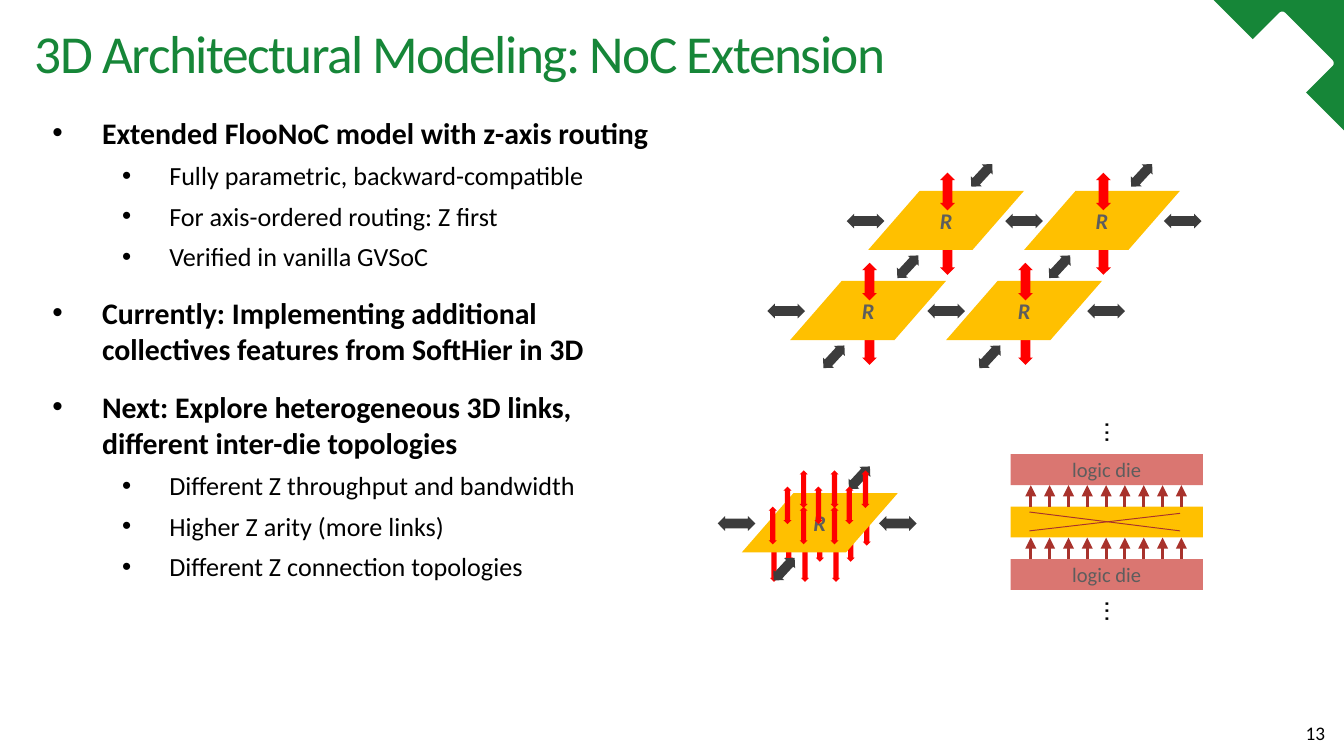
from lxml import etree
from pptx import Presentation
from pptx.dml.color import RGBColor
from pptx.enum import shapes, text
from pptx.oxml import ns
from pptx.util import Inches, Pt

# Content
TITLE = "3D Architectural Modeling: NoC Extension"
PAGE = "13"
# (level, space before, text)
POINTS = [
    (0, 0, "Extended FlooNoC model with z-axis routing"),
    (1, 5, "Fully parametric, backward-compatible"),
    (1, 5, "For axis-ordered routing: Z first"),
    (1, 5, "Verified in vanilla GVSoC"),
    (0, 12, "Currently: Implementing additional collectives features from SoftHier in 3D"),
    (0, 12, "Next: Explore heterogeneous 3D links,\ndifferent inter-die topologies"),
    (1, 5, "Different Z throughput and bandwidth"),
    (1, 5, "Higher Z arity (more links)"),
    (1, 5, "Different Z connection topologies"),
]
ROUTERS = [(6.46, 1.42), (7.62, 1.42), (5.88, 2.09), (7.04, 2.09)]
# Links between routers: (first left, top, pitch, count)
X_LINKS = [(6.3, 1.59, 1.18, 3), (5.71, 2.26, 1.19, 3)]
Y_LINKS = [(7.19, 1.25, 1.19, 2), (6.64, 1.93, 1.13, 2), (6.09, 2.6, 1.16, 2)]
DENSE_ROUTER = (5.52, 3.67)
DENSE_Z_ROWS = [(5.84, 3.61), (5.72, 3.73), (5.61, 3.88)]
DIES = [(4.16, "logic die", "die"), (3.77, "", "router"), (3.38, "logic die", "die")]

THEME = {
    "font": "Calibri",
    "colors": {"green": "168638", "white": "FFFFFF", "black": "000000", "z": "FF0000",
               "link": "3C3C3C", "router": "FFC000", "die": "DA7671",
               "label": "5D5D5D", "wire": "A8322C"},
    "sizes": {"title": 28.6, "points": (16, 14), "page": 10.3,
              "router": 12, "die": 11, "dots": 14},
}
SIZES = THEME["sizes"]
KIND = shapes.MSO_SHAPE


def color(name):
    return RGBColor.from_string(THEME["colors"][name])


def style(paragraph, size, color_name, bold=False, italic=False, font=THEME["font"]):
    paragraph.font.name, paragraph.font.size = font, Pt(size)
    paragraph.font.bold, paragraph.font.italic = bold, italic
    paragraph.font.color.rgb = color(color_name)


def add_block(parent, kind, box, fill, rotation=0, adjust=None, label="", label_style=()):
    shape = parent.shapes.add_shape(kind, *map(Inches, box))
    shape.shadow.inherit = False
    shape.fill.solid()
    shape.fill.fore_color.rgb = color(fill)
    shape.line.fill.background()
    shape.rotation = rotation
    for index, value in enumerate(adjust or []):
        shape.adjustments[index] = value
    if label:
        frame = shape.text_frame
        frame.vertical_anchor = text.MSO_ANCHOR.MIDDLE
        paragraph = frame.paragraphs[0]
        paragraph.text = label
        paragraph.alignment = text.PP_ALIGN.CENTER
        style(paragraph, *label_style)
    return shape


def add_text(parent, box, margins=(0.1, 0.05), wrap=True):
    shape = parent.shapes.add_textbox(*map(Inches, box))
    frame = shape.text_frame
    frame.word_wrap = wrap
    frame.margin_left = frame.margin_right = Inches(margins[0])
    frame.margin_top = frame.margin_bottom = Inches(margins[1])
    return shape


def add_arrow(parent, left, top, fill, length=0.28, width=0.11, rotation=0):
    add_block(parent, KIND.LEFT_RIGHT_ARROW, (left, top, length, width), fill,
              rotation, (0.656, 0.5))


def add_x_link(parent, left, top):
    add_arrow(parent, left, top, "link")


def add_y_link(parent, left, top):
    add_arrow(parent, left, top, "link", length=0.23, rotation=312.8)


def add_z_link(parent, left, top, width=0.11):
    add_arrow(parent, left, top, "z", width=width, rotation=270)


def add_router(parent, left, top):
    add_block(parent, KIND.PARALLELOGRAM, (left, top, 1.16, 0.44), "router",
              adjust=[0.872], label="R",
              label_style=(SIZES["router"], "label", True, True))


def add_wire(parent, start, end, width, arrow=False):
    connector = parent.shapes.add_connector(
        shapes.MSO_CONNECTOR.STRAIGHT, *map(Inches, start + end))
    connector.line.color.rgb = color("wire")
    connector.line.width = Pt(width)
    properties = connector.element.spPr
    if arrow:
        line = properties.find(ns.qn("a:ln"))
        etree.SubElement(line, ns.qn("a:tailEnd"), type="triangle")
    etree.SubElement(properties, ns.qn("a:effectLst"))


def add_bullet(paragraph, indent, hanging):
    properties = paragraph._p.get_or_add_pPr()
    properties.set("marL", str(Inches(indent)))
    properties.set("indent", str(-Inches(hanging)))
    bullet_color = etree.SubElement(properties, ns.qn("a:buClr"))
    etree.SubElement(bullet_color, ns.qn("a:srgbClr"), val=THEME["colors"]["black"])
    etree.SubElement(properties, ns.qn("a:buFont"), typeface="Arial")
    etree.SubElement(properties, ns.qn("a:buChar"), char="•")


# Widescreen slide, 16:9
presentation = Presentation()
presentation.slide_width = Inches(10)
presentation.slide_height = Inches(10 * 9 / 16)
slide = presentation.slides.add_slide(presentation.slide_layouts[5])

# Corner ornament
add_block(slide, KIND.ISOSCELES_TRIANGLE, (9.03, 0, 0.97, 0.97), "green", 270, [1])
for left, top, side in [(9.09, 0.31, 0.31), (9.26, 0.19, 0.56)]:
    add_block(slide, KIND.ROUNDED_RECTANGLE, (left, top, side, side), "white", 45, [0.052])

# Title
title = slide.shapes.title
title.left, title.top, title.width, title.height = map(Inches, (0.26, 0.15, 8.75, 0.54))
frame = title.text_frame
frame.margin_left = frame.margin_right = frame.margin_top = frame.margin_bottom = 0
frame.vertical_anchor = text.MSO_ANCHOR.MIDDLE
frame.auto_size = text.MSO_AUTO_SIZE.NONE
paragraph = frame.paragraphs[0]
paragraph.text = TITLE
paragraph.alignment = text.PP_ALIGN.LEFT
paragraph.line_spacing = 0.9
style(paragraph, SIZES["title"], "green")
paragraph.runs[0].font._element.set("spc", "-80")

# Bullet points
frame = add_text(slide, (0.26, 0.81, 4.67, 4.53), (0, 0.04)).text_frame
for index, (level, space, point) in enumerate(POINTS):
    paragraph = frame.add_paragraph() if index else frame.paragraphs[0]
    paragraph.text = point
    paragraph.level = level
    paragraph.space_before = Pt(space)
    add_bullet(paragraph, *[(0.5, 0.37), (1, 0.35)][level])
    style(paragraph, SIZES["points"][level], "black", bold=level == 0)

# Page number
frame = add_text(slide, (9.47, 5.33, 0.47, 0.25), (0.08, 0.04)).text_frame
frame.vertical_anchor = text.MSO_ANCHOR.BOTTOM
paragraph = frame.paragraphs[0]
paragraph.text = PAGE
paragraph.alignment = text.PP_ALIGN.RIGHT
style(paragraph, SIZES["page"], "black")

# Router mesh: lower Z links go behind the routers, upper ones in front
mesh = slide.shapes.add_group_shape()
for left, top in ROUTERS:
    add_z_link(mesh, left + 0.45, top + 0.43)
for left, top in ROUTERS:
    add_router(mesh, left, top)
for add_link, rows in [(add_x_link, X_LINKS), (add_y_link, Y_LINKS)]:
    for left, top, pitch, count in rows:
        for column in range(count):
            add_link(mesh, left + column * pitch, top)
for left, top in ROUTERS:
    add_z_link(mesh, left + 0.45, top - 0.05)


# Router with a 3 x 3 array of Z links
def add_dense_links(parent, right, down):
    for left, top in DENSE_Z_ROWS:
        for column in range(3):
            add_z_link(parent, left + right + column * 0.23, top + down, width=0.06)


dense = slide.shapes.add_group_shape()
add_dense_links(dense, 0.01, 0.28)
add_router(dense, *DENSE_ROUTER)
for left in (5.34, 6.54):
    add_x_link(dense, left, 3.84)
for left, top in [(6.28, 3.5), (5.72, 4.18)]:
    add_y_link(dense, left, top)
add_dense_links(dense, 0, 0)

# Die stack
stack = slide.shapes.add_group_shape()
for top, label, fill in DIES:
    add_block(stack, KIND.RECTANGLE, (7.52, top, 1.43, 0.23), fill, label=label,
              label_style=(SIZES["die"], "label"))
for bottom in (4.16, 3.77):
    for column in range(9):
        x = 7.67 + column * 0.14
        add_wire(stack, (x, bottom), (x, bottom - 0.16), 1.5, arrow=True)
add_wire(stack, (7.66, 3.95), (8.78, 3.82), 0.5)
add_wire(stack, (8.78, 3.95), (7.66, 3.81), 0.5)
for top in (3.05, 4.38):
    dots = add_text(stack, (8.12, top, 0.36, 0.34), wrap=False)
    dots.rotation = 90
    dots.text_frame.auto_size = text.MSO_AUTO_SIZE.SHAPE_TO_FIT_TEXT
    paragraph = dots.text_frame.paragraphs[0]
    paragraph.text = "..."
    style(paragraph, SIZES["dots"], "black", font="Arial")

presentation.save("out.pptx")
